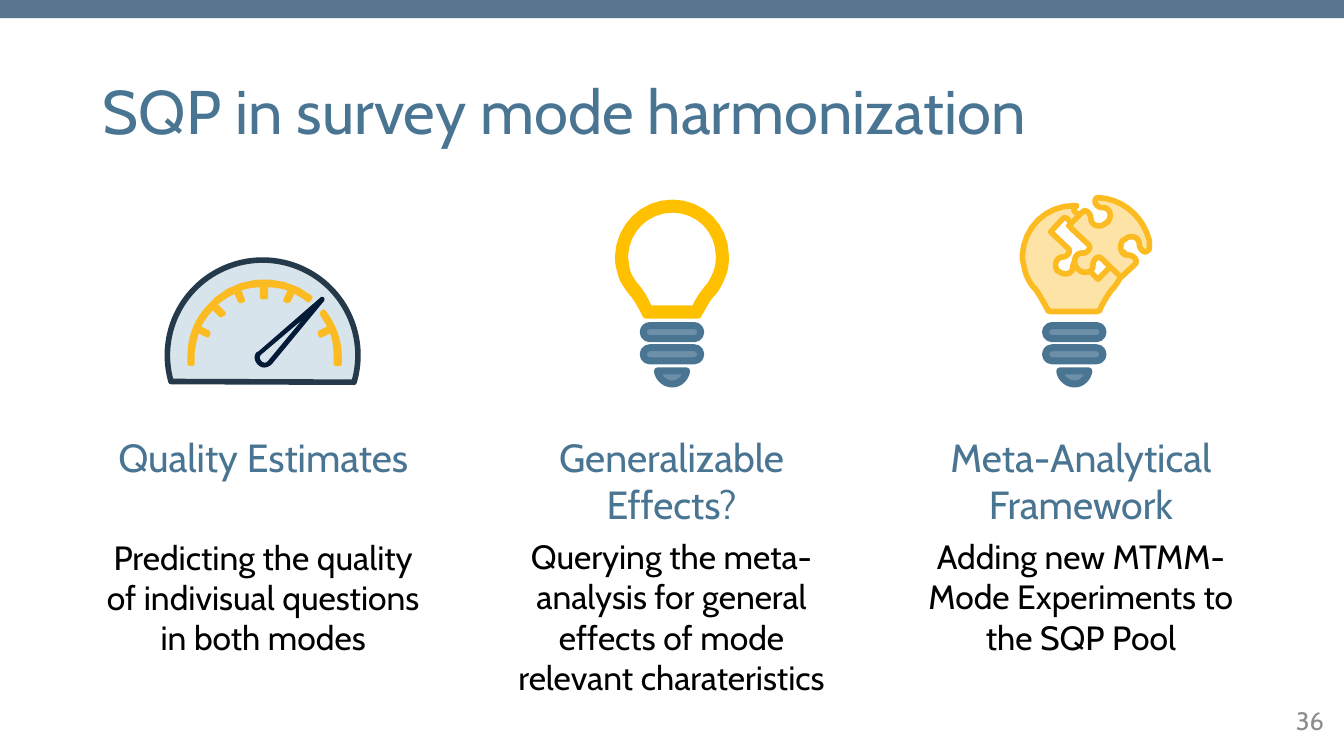
from lxml.etree import SubElement
from pptx import Presentation
from pptx.dml.color import RGBColor
from pptx.enum.shapes import MSO_SHAPE
from pptx.enum.text import MSO_ANCHOR, PP_ALIGN
from pptx.oxml.ns import qn
from pptx.util import Inches, Pt

FONT = "Cabin"
COLORS = {
    "bar": "58748F", "blue": "497593", "black": "000000", "grey": "8C8C8C",
    "dial": "D8E4EC", "rim": "243A4A", "gold": "FBBB21", "needle": "031B36",
    "glass": "FFC000", "puzzle": "FDE4A6",
}
TITLE = "SQP in survey mode harmonization"
PAGE_NUMBER = "36"

# left edge, heading, lines the heading takes, explanation
COLUMNS = [
    (0.92, "Quality Estimates", 1,
     "Predicting the quality of indivisual questions in both modes"),
    (4.97, "Generalizable Effects?", 2,
     "Querying the meta-analysis for general effects of mode relevant charateristics"),
    (9.03, "Meta-Analytical Framework", 2,
     "Adding new MTMM-Mode Experiments to the SQP Pool"),
]

# Outlines in inches: a pair is a corner, six numbers are a Bézier curve.
SCALE_LEFT = [
    (2.6, 2.83), (2.6, 2.95), (2.64, 2.95), (2.64, 2.83),
    (2.72, 2.83, 2.8, 2.84, 2.88, 2.87), (2.83, 2.98), (2.86, 2.99), (2.91, 2.89),
    (2.96, 2.91, 3.01, 2.94, 3.06, 2.98), (3.08, 2.95),
    (2.76, 2.7, 2.29, 2.75, 2.04, 3.08), (1.93, 3.21, 1.88, 3.37, 1.88, 3.54),
    (1.88, 3.61), (1.91, 3.61), (1.91, 3.54),
    (1.91, 3.45, 1.93, 3.37, 1.96, 3.28), (2.06, 3.33), (2.07, 3.3), (1.97, 3.25),
    (2, 3.18, 2.05, 3.11, 2.11, 3.05), (2.19, 3.13), (2.22, 3.11), (2.13, 3.02),
    (2.19, 2.97, 2.26, 2.92, 2.34, 2.89), (2.38, 2.99), (2.41, 2.98), (2.37, 2.87),
    (2.44, 2.84, 2.52, 2.83, 2.6, 2.83),
]
SCALE_RIGHT = [
    (3.21, 3.09), (3.19, 3.11), (3.22, 3.16, 3.25, 3.2, 3.27, 3.25),
    (3.17, 3.3), (3.18, 3.33), (3.29, 3.28), (3.32, 3.37, 3.33, 3.45, 3.33, 3.54),
    (3.33, 3.61), (3.37, 3.61), (3.37, 3.54), (3.37, 3.37, 3.31, 3.22, 3.21, 3.09),
]
NEEDLE_OUTER = [
    (3.21, 2.96), (3.2, 2.95, 3.19, 2.95, 3.18, 2.96), (2.57, 3.49), (2.55, 3.5),
    (2.52, 3.53, 2.53, 3.59, 2.57, 3.62), (2.58, 3.63, 2.6, 3.64, 2.62, 3.64),
    (2.64, 3.64, 2.67, 3.63, 2.69, 3.61), (3.21, 2.98),
]
NEEDLE_INNER = [
    (2.66, 3.59), (2.64, 3.61, 2.61, 3.61, 2.59, 3.59),
    (2.57, 3.57, 2.56, 3.54, 2.58, 3.52), (2.59, 3.51), (3.05, 3.12),
]
GLASS_OUTER = [
    (6.67, 1.98), (6.36, 1.98, 6.11, 2.23, 6.1, 2.54), (6.1, 2.56),
    (6.1, 2.63, 6.12, 2.69, 6.14, 2.76), (6.16, 2.81, 6.2, 2.87, 6.24, 2.92),
    (6.29, 2.97, 6.35, 3.09, 6.37, 3.13), (6.38, 3.15, 6.39, 3.16, 6.41, 3.16),
    (6.92, 3.16), (6.94, 3.16, 6.96, 3.15, 6.96, 3.13),
    (6.99, 3.09, 7.04, 2.97, 7.1, 2.92), (7.14, 2.87, 7.17, 2.81, 7.19, 2.76),
    (7.22, 2.69, 7.23, 2.63, 7.23, 2.56), (7.23, 2.54),
    (7.23, 2.23, 6.98, 1.98, 6.67, 1.98),
]
GLASS_INNER = [
    (7.1, 2.56), (7.1, 2.61, 7.09, 2.66, 7.07, 2.71),
    (7.05, 2.75, 7.03, 2.8, 7, 2.83), (6.95, 2.89, 6.9, 2.96, 6.87, 3.03),
    (6.46, 3.03), (6.43, 2.96, 6.39, 2.89, 6.34, 2.83),
    (6.31, 2.8, 6.28, 2.75, 6.26, 2.71), (6.24, 2.66, 6.24, 2.61, 6.23, 2.56),
    (6.23, 2.54), (6.24, 2.3, 6.43, 2.11, 6.67, 2.11),
    (6.91, 2.11, 7.1, 2.3, 7.1, 2.54),
]
PUZZLE_BULB = [
    (10.65, 2.04), (10.68, 2.04), (10.66, 2.06),
    (10.63, 2.08, 10.68, 2.13, 10.72, 2.13), (10.79, 2.13, 10.81, 2.21, 10.76, 2.27),
    (10.71, 2.32, 10.62, 2.3, 10.62, 2.23), (10.62, 2.19, 10.57, 2.14, 10.54, 2.17),
    (10.42, 2.3), (10.6, 2.47), (10.62, 2.5, 10.58, 2.55, 10.54, 2.55),
    (10.47, 2.55, 10.45, 2.64, 10.49, 2.69), (10.5, 2.69),
    (10.55, 2.74, 10.64, 2.72, 10.64, 2.65), (10.64, 2.61, 10.68, 2.56, 10.71, 2.59),
    (10.89, 2.77), (11.02, 2.64), (11.04, 2.61, 11, 2.57, 10.96, 2.57),
    (10.89, 2.57, 10.86, 2.48, 10.91, 2.43), (10.92, 2.42),
    (10.97, 2.37, 11.06, 2.4, 11.06, 2.47), (11.06, 2.5, 11.1, 2.55, 11.13, 2.52),
    (11.15, 2.5), (11.15, 2.56), (11.15, 2.62, 11.14, 2.67, 11.12, 2.73),
    (11.1, 2.78, 11.07, 2.83, 11.03, 2.87), (10.99, 2.92, 10.93, 3.02, 10.91, 3.07),
    (10.91, 3.08, 10.89, 3.09, 10.88, 3.09), (10.42, 3.09),
    (10.4, 3.09, 10.39, 3.08, 10.39, 3.07), (10.36, 3.02, 10.31, 2.92, 10.27, 2.87),
    (10.23, 2.83, 10.2, 2.78, 10.18, 2.73), (10.16, 2.67, 10.15, 2.62, 10.14, 2.56),
    (10.14, 2.54), (10.15, 2.26, 10.37, 2.04, 10.65, 2.04),
]
PUZZLE_PIECE = [
    (10.88, 1.96), (10.97, 1.97), (11.18, 2.01, 11.35, 2.18, 11.4, 2.39),
    (11.4, 2.47), (11.38, 2.49), (11.35, 2.52, 11.3, 2.47, 11.3, 2.42),
    (11.3, 2.35, 11.21, 2.32, 11.15, 2.38), (11.14, 2.38),
    (11.09, 2.44, 11.12, 2.54, 11.19, 2.53), (11.24, 2.53, 11.29, 2.58, 11.26, 2.62),
    (11.12, 2.75), (10.92, 2.56), (10.89, 2.53, 10.84, 2.58, 10.84, 2.63),
    (10.85, 2.7, 10.75, 2.73, 10.69, 2.67), (10.63, 2.61, 10.66, 2.51, 10.73, 2.51),
    (10.78, 2.52, 10.83, 2.46, 10.8, 2.43), (10.6, 2.24), (10.74, 2.1),
    (10.77, 2.07, 10.82, 2.12, 10.82, 2.17), (10.82, 2.24, 10.92, 2.27, 10.97, 2.21),
    (10.98, 2.21), (11.04, 2.15, 11.01, 2.05, 10.93, 2.06),
    (10.89, 2.06, 10.84, 2.01, 10.87, 1.97),
]
BULB_CENTERS = [6.67, 10.66]
THREAD_TOPS = [3.23, 3.45]
CURVE_STEPS = 8


def rgb(name):
    return RGBColor.from_string(COLORS[name])


def paint(shape, fill, line=None, width=0, opacity=None):
    shape.shadow.inherit = False
    shape.fill.solid()
    shape.fill.fore_color.rgb = rgb(fill)
    if opacity:
        color = shape._element.spPr.find(qn("a:solidFill"))[0]
        SubElement(color, qn("a:alpha"), val=str(opacity * 1000))
    if line:
        shape.line.color.rgb = rgb(line)
        shape.line.width = Pt(width)
    else:
        shape.line.fill.background()


def flatten(outline):
    """Turn corners and Bézier curves into a list of EMU points."""
    points = [outline[0]]
    for segment in outline[1:]:
        if len(segment) == 2:
            points.append(segment)
            continue
        controls = [points[-1], segment[:2], segment[2:4], segment[4:]]
        for step in range(1, CURVE_STEPS + 1):
            t = step / CURVE_STEPS
            weights = ((1 - t)**3, 3 * t * (1 - t)**2, 3 * t**2 * (1 - t), t**3)
            points.append(tuple(sum(w * c[axis] for w, c in zip(weights, controls))
                                for axis in (0, 1)))
    return [(Inches(x), Inches(y)) for x, y in points]


def draw_outlines(outlines, *style):
    first, *holes = [flatten(outline) for outline in outlines]
    builder = slide.shapes.build_freeform(*first[0])
    builder.add_line_segments(first[1:])
    for hole in holes:
        builder.move_to(*hole[0])
        builder.add_line_segments(hole[1:])
    paint(builder.convert_to_shape(), *style)


def add_preset(kind, left, top, width, height):
    return slide.shapes.add_shape(kind, *map(Inches, (left, top, width, height)))


def add_text_frame(left, top, width, height):
    frame = slide.shapes.add_textbox(*map(Inches, (left, top, width, height))).text_frame
    frame.word_wrap = True
    return frame


def write(paragraph, text, size, color, align):
    paragraph.text = text
    paragraph.alignment = align
    paragraph.font.name = FONT
    paragraph.font.size = Pt(size)
    paragraph.font.color.rgb = rgb(color)


presentation = Presentation()
presentation.slide_width, presentation.slide_height = Inches(13.33), Inches(7.5)
slide = presentation.slides.add_slide(presentation.slide_layouts[5])

paint(add_preset(MSO_SHAPE.RECTANGLE, 0, 0, 13.33, 0.18), "bar")

title = slide.shapes.title
title.left, title.top, title.width, title.height = map(Inches, (0.92, 0.63, 11.5, 1.02))
title.text_frame.vertical_anchor = MSO_ANCHOR.MIDDLE
write(title.text_frame.paragraphs[0], TITLE, 44, "blue", PP_ALIGN.LEFT)
title.text_frame.paragraphs[0].line_spacing = 0.9

for left, heading, heading_lines, explanation in COLUMNS:
    column = add_text_frame(left, 4.25, 3.38, 2.68)
    write(column.paragraphs[0], heading, 28, "blue", PP_ALIGN.CENTER)
    column.paragraphs[0].space_after = Pt(6 + 34 * (2 - heading_lines))
    write(column.add_paragraph(), explanation, 24, "black", PP_ALIGN.CENTER)

dial = add_preset(MSO_SHAPE.CHORD, 1.66, 2.58, 1.89, 1.89)
dial.adjustments[0], dial.adjustments[1] = 98.432, 9.834
paint(dial, "dial", "rim", 4)
for scale in (SCALE_LEFT, SCALE_RIGHT):
    draw_outlines([scale], "gold", "gold", 3)
draw_outlines([NEEDLE_OUTER, NEEDLE_INNER], "needle", "needle", 1)

draw_outlines([GLASS_OUTER, GLASS_INNER], "glass")
for puzzle in (PUZZLE_BULB, PUZZLE_PIECE):
    draw_outlines([puzzle], "puzzle", "gold", 4)

for center in BULB_CENTERS:
    for top in THREAD_TOPS:
        thread = add_preset(MSO_SHAPE.ROUNDED_RECTANGLE, center - 0.29, top, 0.57, 0.13)
        thread.adjustments[0] = 0.5
        paint(thread, "blue", "blue", 5, 80)
    tip = [(center - 0.15, 3.68),
           (center - 0.14, 3.75, center - 0.08, 3.81, center, 3.81),
           (center + 0.07, 3.81, center + 0.13, 3.75, center + 0.14, 3.68)]
    draw_outlines([tip], "blue", "blue", 5, 80)

page = add_text_frame(9.42, 6.95, 3.81, 0.4)
page.vertical_anchor = MSO_ANCHOR.MIDDLE
write(page.paragraphs[0], PAGE_NUMBER, 18, "grey", PP_ALIGN.RIGHT)

presentation.save("out.pptx")
